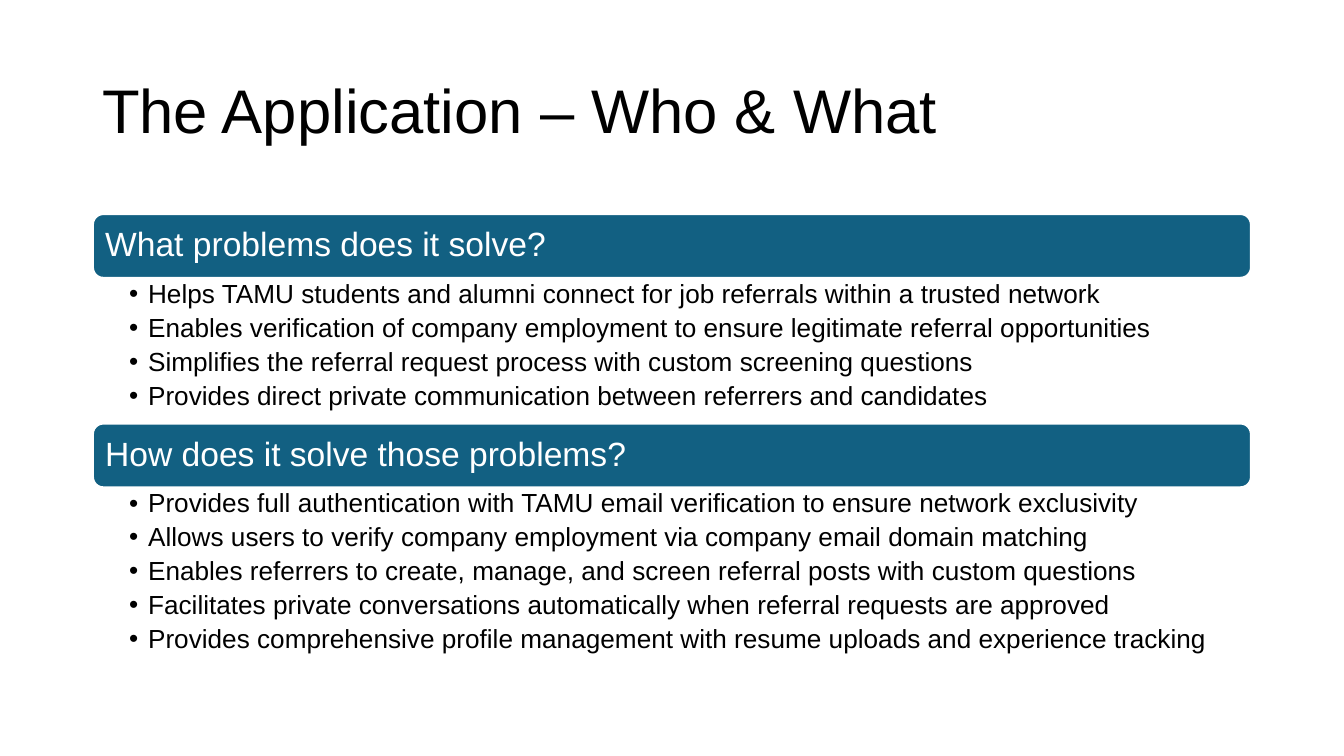
from lxml.etree import SubElement
from pptx import Presentation
from pptx.dml.color import RGBColor
from pptx.enum.shapes import MSO_SHAPE as Shape
from pptx.enum.text import MSO_ANCHOR as Anchor, MSO_AUTO_SIZE as AutoSize, PP_ALIGN as Align
from pptx.oxml.ns import qn
from pptx.util import Cm, Pt

COLORS = {"banner": "126082", "paper": "FFFFFF", "ink": "000000"}
LEFT, WIDTH = 1.75, 21.9
BANNER_HEIGHT = 1.22

SECTIONS = [
    ("What problems does it solve?", 2.74, [
        "Helps TAMU students and alumni connect for job referrals within a trusted network",
        "Enables verification of company employment to ensure legitimate referral opportunities",
        "Simplifies the referral request process with custom screening questions",
        "Provides direct private communication between referrers and candidates",
    ]),
    ("How does it solve those problems?", 3.4, [
        "Provides full authentication with TAMU email verification to ensure network exclusivity",
        "Allows users to verify company employment via company email domain matching",
        "Enables referrers to create, manage, and screen referral posts with custom questions",
        "Facilitates private conversations automatically when referral requests are approved",
        "Provides comprehensive profile management with resume uploads and experience tracking",
    ]),
]


def color(name):
    return RGBColor.from_string(COLORS[name])


def assign(target, values):
    for name, value in values.items():
        setattr(target, name, value)


class SlideBuilder:
    """Holds the text style and the current page."""

    font = "Arial"
    line_spacing = 0.9

    def __init__(self, page):
        self.page = page

    def frame(self, box, anchor, insets):
        sides = ("margin_left", "margin_top", "margin_right", "margin_bottom")
        assign(box.text_frame, {"word_wrap": True, "auto_size": AutoSize.NONE,
                                "vertical_anchor": anchor})
        assign(box.text_frame, dict(zip(sides, map(Cm, insets))))

    def add_text(self, para, text, size, ink):
        assign(para, {"alignment": Align.LEFT, "line_spacing": self.line_spacing})
        span = para.add_run()
        span.text = text
        assign(span.font, {"name": self.font, "size": Pt(size)})
        span.font.color.rgb = color(ink)

    def title(self, text):
        box = self.page.shapes.title
        assign(box, {"left": Cm(LEFT), "top": Cm(0.76), "width": Cm(WIDTH), "height": Cm(2.77)})
        self.frame(box, Anchor.MIDDLE, (0.18, 0.1, 0.18, 0.1))
        self.add_text(box.text_frame.paragraphs[0], text, 33, "ink")

    def banner(self, text, top):
        box = self.page.shapes.add_shape(
            Shape.ROUNDED_RECTANGLE, Cm(LEFT), Cm(top), Cm(WIDTH), Cm(BANNER_HEIGHT))
        box.shadow.inherit = False
        box.fill.solid()
        box.fill.fore_color.rgb = color("banner")
        box.line.color.rgb = color("paper")
        box.line.width = Pt(1.5)
        self.frame(box, Anchor.MIDDLE, (0.18, 0.18, 0.18, 0.18))
        self.add_text(box.text_frame.paragraphs[0], text, 18, "paper")

    def bullet(self, para):
        properties = para._p.get_or_add_pPr()
        properties.set("marL", str(Cm(0.36)))
        properties.set("indent", str(-Cm(0.36)))
        tint = SubElement(properties, qn("a:buClr"))
        SubElement(tint, qn("a:srgbClr"), val=COLORS["ink"])
        SubElement(properties, qn("a:buFont"), typeface=self.font)
        SubElement(properties, qn("a:buChar"), char="•")

    def bullets(self, items, top, height):
        box = self.page.shapes.add_textbox(Cm(LEFT), Cm(top), Cm(WIDTH), Cm(height))
        self.frame(box, Anchor.TOP, (0.69, 0.05, 0.36, 0.05))
        for index, item in enumerate(items):
            para = box.text_frame.add_paragraph() if index else box.text_frame.paragraphs[0]
            self.bullet(para)
            para.level = 1
            if index:
                para.space_before = Pt(3)
            self.add_text(para, item, 14, "ink")


def main():
    deck = Presentation()
    assign(deck, {"slide_width": Cm(25.4), "slide_height": Cm(14.29)})
    page = deck.slides.add_slide(deck.slide_layouts[5])
    builder = SlideBuilder(page)
    builder.title("The Application – Who & What")

    # Each banner sits on its list, and the sections stack downwards
    top = 4.04
    for heading, height, items in SECTIONS:
        builder.banner(heading, top)
        top += BANNER_HEIGHT
        builder.bullets(items, top, height)
        top += height

    deck.save("out.pptx")


if __name__ == "__main__":
    main()
